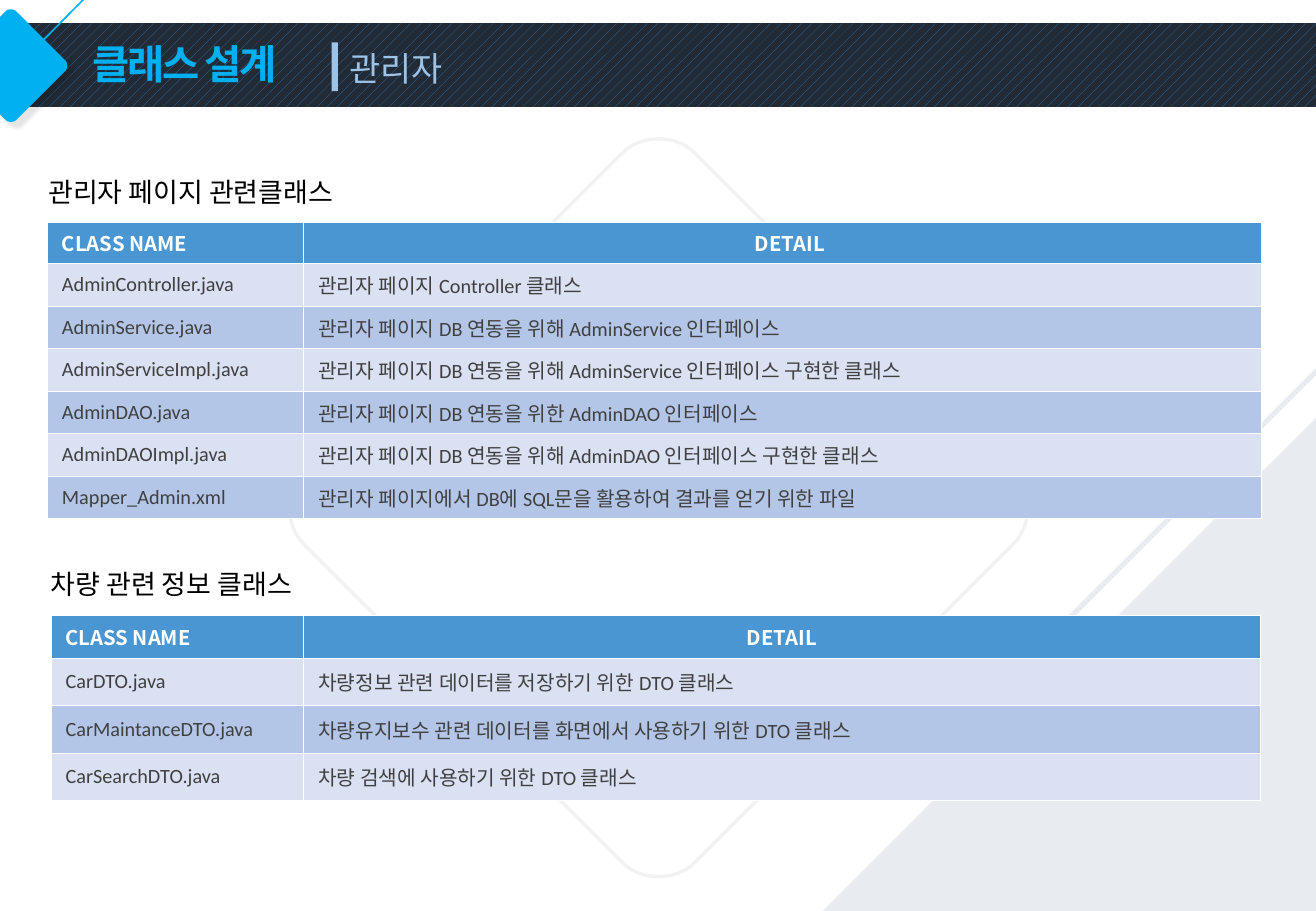
from math import cos, pi, sin

from lxml.etree import SubElement
from pptx import Presentation
from pptx.dml.color import RGBColor
from pptx.enum.dml import MSO_PATTERN
from pptx.enum.shapes import MSO_CONNECTOR, MSO_SHAPE
from pptx.enum.text import MSO_ANCHOR, MSO_AUTO_SIZE, PP_ALIGN
from pptx.oxml import parse_xml
from pptx.oxml.ns import nsdecls, qn
from pptx.util import Inches, Pt

CYAN = RGBColor(0x00, 0xB0, 0xF0)
NAVY = RGBColor(0x22, 0x2A, 0x35)
STRIPE = RGBColor(0x2E, 0x75, 0xB6)
SKY = RGBColor(0x9D, 0xC3, 0xE6)
HEADER = RGBColor(0x4A, 0x96, 0xD2)
BANDS = RGBColor(0xD9, 0xE1, 0xF2), RGBColor(0xB4, 0xC6, 0xE7)
MIST = RGBColor(0xE8, 0xEB, 0xF0)
OUTLINE = RGBColor(0xF2, 0xF2, 0xF2)
INK = RGBColor(0x40, 0x40, 0x40)
BLACK = RGBColor(0x00, 0x00, 0x00)
WHITE = RGBColor(0xFF, 0xFF, 0xFF)

ADMIN_CLASSES = [
    ("AdminController.java", "관리자 페이지 Controller 클래스"),
    ("AdminService.java", "관리자 페이지 DB 연동을 위해 AdminService 인터페이스"),
    ("AdminServiceImpl.java", "관리자 페이지 DB 연동을 위해 AdminService 인터페이스 구현한 클래스"),
    ("AdminDAO.java", "관리자 페이지 DB 연동을 위한 AdminDAO 인터페이스"),
    ("AdminDAOImpl.java", "관리자 페이지 DB 연동을 위해 AdminDAO 인터페이스 구현한 클래스"),
    ("Mapper_Admin.xml", "관리자 페이지에서 DB에 SQL문을 활용하여 결과를 얻기 위한 파일"),
]
CAR_CLASSES = [
    ("CarDTO.java", "차량정보 관련 데이터를 저장하기 위한 DTO 클래스"),
    ("CarMaintanceDTO.java", "차량유지보수 관련 데이터를 화면에서 사용하기 위한 DTO 클래스"),
    ("CarSearchDTO.java", "차량 검색에 사용하기 위한 DTO 클래스"),
]


class ClassPage:
    body_font = "Calibri"
    header_font = "Noto Sans CJK KR"
    title_font = "Arial"

    def __init__(self, deck):
        self.page = deck.slides.add_slide(deck.slide_layouts[5])
        self.shapes = self.page.shapes

    def add_span(self, para, text, size, color, font, bold=False):
        span = para.add_run()
        span.text = text
        span.font.size = Pt(size)
        span.font.name = font
        span.font.bold = bold
        span.font.color.rgb = color
        return span

    def shape(self, kind, left, top, width, height, color=None):
        shape = self.shapes.add_shape(
            kind, Inches(left), Inches(top), Inches(width), Inches(height))
        shape.shadow.inherit = False
        shape.line.fill.background()
        if color is not None:
            shape.fill.solid()
            shape.fill.fore_color.rgb = color
        return shape

    def diamond(self, center_x, center_y, half):
        corner = (0.945, -0.1), (1, -0.05), (1, 0.05), (0.945, 0.1)
        points = []
        for quarter in range(4):
            angle = quarter * pi / 2
            for step in range(13):
                t = step / 12
                weights = (1 - t) ** 3, 3 * t * (1 - t) ** 2, 3 * t * t * (1 - t), t ** 3
                x = sum(w * p[0] for w, p in zip(weights, corner))
                y = sum(w * p[1] for w, p in zip(weights, corner))
                points.append((
                    Inches(center_x + half * (x * cos(angle) - y * sin(angle))),
                    Inches(center_y + half * (x * sin(angle) + y * cos(angle)))))
        builder = self.shapes.build_freeform(*points[0])
        builder.add_line_segments(points[1:], close=True)
        shape = builder.convert_to_shape()
        shape.shadow.inherit = False
        return shape

    def drop_shadow(self, shape):
        effects = shape.element.spPr.find(qn("a:effectLst"))
        effects.append(parse_xml(
            f'<a:outerShdw {nsdecls("a")} blurRad="{Pt(2)}" dist="{Pt(5)}" '
            'dir="2700000" algn="tl" rotWithShape="0"><a:srgbClr val="000000">'
            '<a:alpha val="10000"/></a:srgbClr></a:outerShdw>'))

    def line(self, start, end, color, width):
        line = self.shapes.add_connector(
            MSO_CONNECTOR.STRAIGHT, *map(Inches, start + end))
        line.line.color.rgb = color
        line.line.width = Pt(width)
        SubElement(line.element.spPr, qn("a:effectLst"))

    def title(self, text):
        title = self.shapes.title
        title.element.getparent().append(title.element)
        title.left, title.top = Inches(0.76), Inches(0.37)
        title.width, title.height = Inches(1.74), Inches(0.36)
        frame = title.text_frame
        frame.margin_left = frame.margin_right = 0
        frame.margin_top = frame.margin_bottom = 0
        frame.vertical_anchor = MSO_ANCHOR.MIDDLE
        frame.auto_size = MSO_AUTO_SIZE.SHAPE_TO_FIT_TEXT
        frame.word_wrap = False
        para = frame.paragraphs[0]
        para.alignment = PP_ALIGN.LEFT
        para.line_spacing = 0.9
        span = self.add_span(para, text, 24, CYAN, self.title_font, True)
        span._r.get_or_add_rPr().set("spc", "-130")

    def text(self, left, top, width, height, text, size, color):
        box = self.shapes.add_textbox(
            Inches(left), Inches(top), Inches(width), Inches(height))
        frame = box.text_frame
        frame.word_wrap = True
        frame.auto_size = MSO_AUTO_SIZE.SHAPE_TO_FIT_TEXT
        self.add_span(frame.paragraphs[0], text, size, color, self.body_font)

    def cell(self, cell, text, fill, inset, header, centered):
        properties = cell._tc.get_or_add_tcPr()
        for side in ("lnL", "lnR", "lnT", "lnB"):
            properties.append(parse_xml(
                f'<a:{side} {nsdecls("a")} w="{Pt(0.5)}"><a:solidFill>'
                f'<a:srgbClr val="{WHITE}"/></a:solidFill></a:{side}>'))
        cell.fill.solid()
        cell.fill.fore_color.rgb = fill
        cell.margin_left = Inches(inset)
        cell.margin_right = cell.margin_top = cell.margin_bottom = 0
        cell.vertical_anchor = MSO_ANCHOR.MIDDLE
        para = cell.text_frame.paragraphs[0]
        para.alignment = PP_ALIGN.CENTER if centered else PP_ALIGN.LEFT
        self.add_span(para, text, 12, WHITE if header else INK,
                      self.header_font if header else self.body_font, header)

    def table(self, left, top, widths, heights, classes, detail_inset=0.12):
        rows = [("CLASS NAME", "DETAIL")] + classes
        table = self.shapes.add_table(
            len(rows), 2, Inches(left), Inches(top),
            Inches(sum(widths)), Inches(sum(heights))).table
        table.first_row = table.horz_banding = False
        for column, width in zip(table.columns, widths):
            column.width = Inches(width)
        for index, (texts, height) in enumerate(zip(rows, heights)):
            table.rows[index].height = Inches(height)
            header = index == 0
            fill = HEADER if header else BANDS[(index - 1) % 2]
            for column, text in enumerate(texts):
                centered = header and column == 1
                self.cell(table.cell(index, column), text, fill,
                          detail_inset if centered else 0.12, header, centered)


def main():
    deck = Presentation()
    deck.slide_width, deck.slide_height = Inches(10.83), Inches(7.5)
    page = ClassPage(deck)

    banner = page.shape(MSO_SHAPE.RECTANGLE, 0, 0.19, 10.83, 0.69)
    banner.fill.patterned()
    banner.fill.pattern = MSO_PATTERN.PERCENT_20
    banner.fill.fore_color.rgb = STRIPE
    banner.fill.back_color.rgb = NAVY

    badge = page.diamond(0.09, 0.54, 0.47)
    badge.fill.solid()
    badge.fill.fore_color.rgb = CYAN
    badge.line.fill.background()
    page.drop_shadow(badge)

    backdrop = page.diamond(5.42, 4.18, 3.08)
    backdrop.fill.background()
    backdrop.line.color.rgb = OUTLINE
    backdrop.line.width = Pt(2)

    page.shape(MSO_SHAPE.RIGHT_TRIANGLE, 6.56, 3.44, 4.27, 4.27, MIST).rotation = 270
    page.line((0.08, 0.61), (0.85, -0.17), CYAN, 1)
    page.line((12.01, 1.88), (8.81, 5.08), MIST, 3)

    page.title("클래스 설계")
    page.table(0.39, 1.83, (2.11, 7.88), [0.34] + [0.35] * 6, ADMIN_CLASSES)
    page.table(0.42, 5.07, (2.08, 7.87), [0.35] + [0.39] * 3, CAR_CLASSES, 0)
    page.text(0.3, 1.4, 4.05, 0.37, "관리자 페이지 관련클래스", 16, BLACK)
    page.text(0.32, 4.62, 3.39, 0.37, "차량 관련 정보 클래스", 16, BLACK)
    page.text(2.78, 0.34, 4.99, 0.44, "관리자", 20, SKY)
    page.shape(MSO_SHAPE.RECTANGLE, 2.73, 0.35, 0.05, 0.4, SKY)
    deck.save("out.pptx")


if __name__ == "__main__":
    main()
